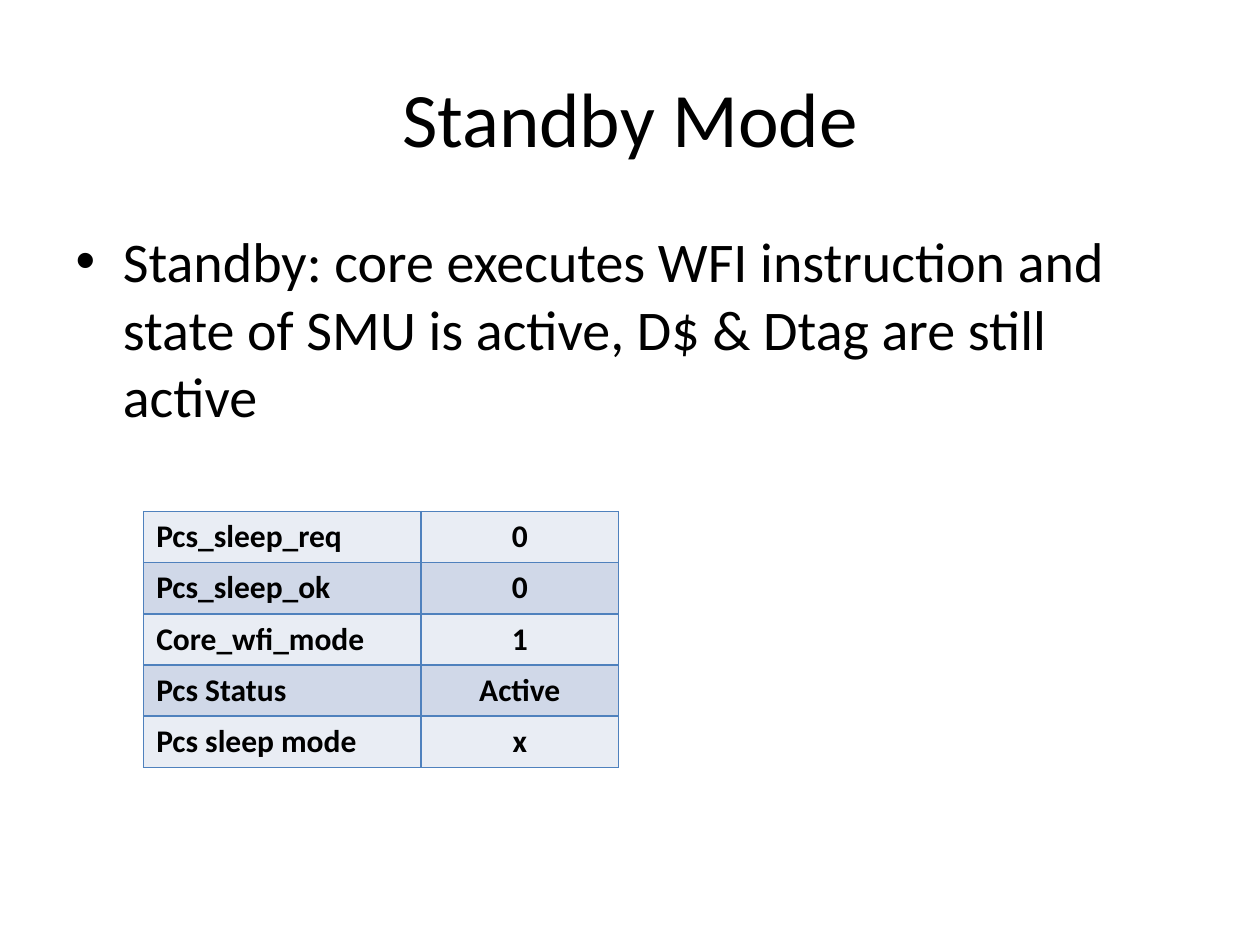
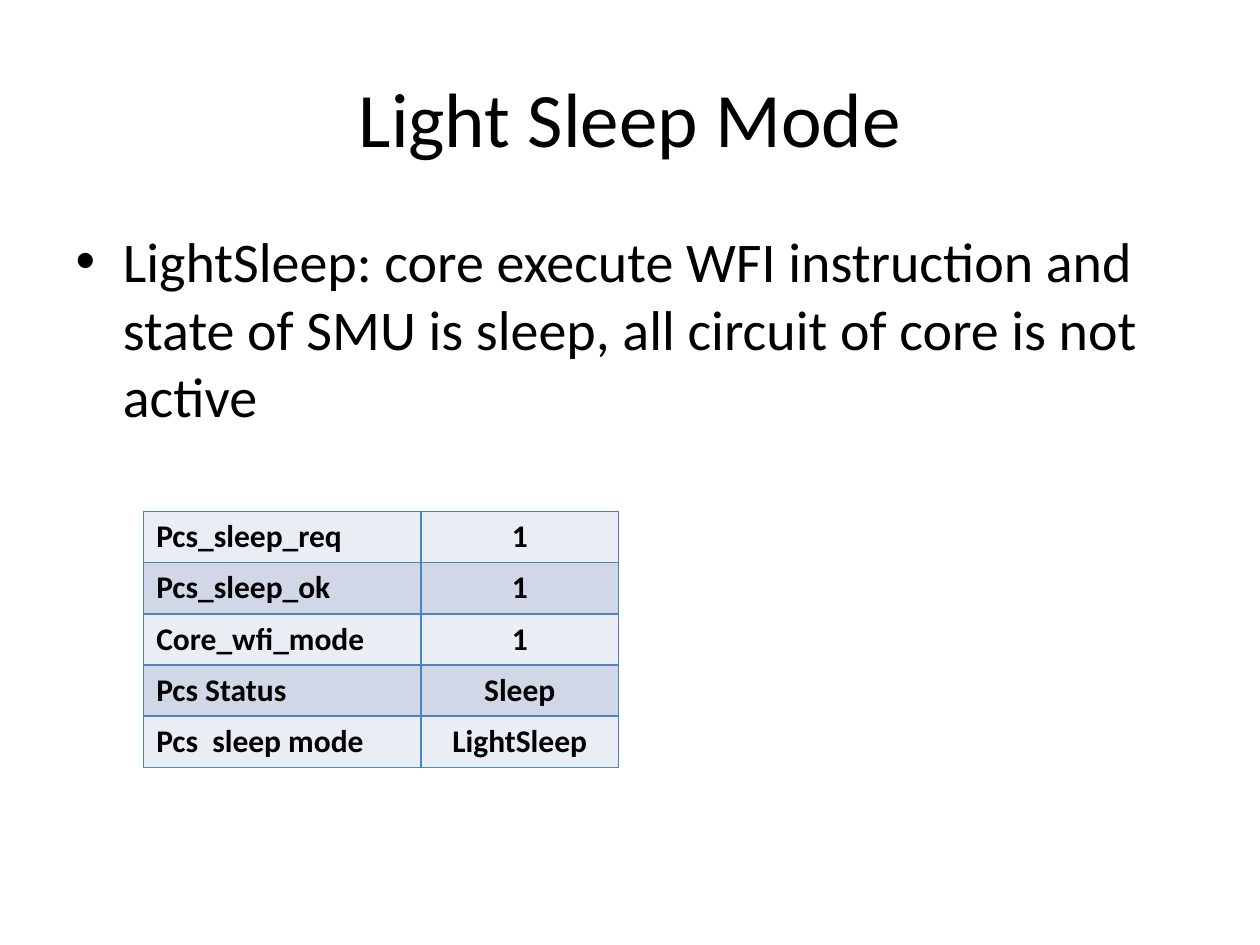
"""Builds two slides on processor sleep modes, each with a signal table."""
from lxml import etree
from pptx import Presentation
from pptx import util as u
from pptx.dml import color
from pptx.enum import text
from pptx.oxml import ns

COLORS = {
    "text": "000000",
    "border": "4F81BD",
    "band_light": "E9EDF4",
    "band_dark": "D0D8E8",
}

MODES = [
    (
        "Standby Mode",
        "Standby: core executes WFI instruction and state of SMU is active, "
        "D$ & Dtag are still active",
        [
            ("Pcs_sleep_req", "0"),
            ("Pcs_sleep_ok", "0"),
            ("Core_wfi_mode", "1"),
            ("Pcs Status", "Active"),
            ("Pcs sleep mode", "x"),
        ],
    ),
    (
        "Light Sleep Mode",
        "LightSleep: core execute WFI instruction and state of SMU is sleep, "
        "all circuit of core is not active",
        [
            ("Pcs_sleep_req", "1"),
            ("Pcs_sleep_ok", "1"),
            ("Core_wfi_mode", "1"),
            ("Pcs Status", "Sleep"),
            ("Pcs  sleep mode", "LightSleep"),
        ],
    ),
]


class Deck:
    font_name = "Calibri"
    column_widths = (2.2, 1.57)

    def __init__(self):
        self.presentation = Presentation()
        self.presentation.slide_width = u.Inches(10)
        self.presentation.slide_height = u.Inches(7.5)
        self.slide = None

    def add_slide(self):
        layout = self.presentation.slide_layouts.get_by_name("Title and Content")
        self.slide = self.presentation.slides.add_slide(layout)

    def style(self, paragraph, size, alignment, bold=False):
        paragraph.alignment = alignment
        for run in paragraph.runs:
            run.font.name = self.font_name
            run.font.size = u.Pt(size)
            run.font.bold = bold
            run.font.color.rgb = color.RGBColor.from_string(COLORS["text"])

    def place(self, shape, left, top, width, height):
        shape.left, shape.top = u.Inches(left), u.Inches(top)
        shape.width, shape.height = u.Inches(width), u.Inches(height)

    def title(self, wording):
        shape = self.slide.shapes.title
        self.place(shape, 0.5, 0.3, 9, 1.25)
        shape.text_frame.text = wording
        shape.text_frame.vertical_anchor = text.MSO_ANCHOR.MIDDLE
        self.style(shape.text_frame.paragraphs[0], 44, text.PP_ALIGN.CENTER)

    def bullet(self, wording):
        shape = self.slide.placeholders[1]
        self.place(shape, 0.5, 1.75, 9, 4.95)
        shape.text_frame.text = wording
        paragraph = shape.text_frame.paragraphs[0]
        paragraph.space_before = u.Pt(0)
        self.style(paragraph, 32, text.PP_ALIGN.LEFT)

    def borders(self, cell):
        properties = cell._tc.get_or_add_tcPr()
        for index, side in enumerate(("lnL", "lnR", "lnT", "lnB")):
            line = etree.Element(ns.qn(f"a:{side}"), w=str(u.Pt(1)))
            fill = etree.SubElement(line, ns.qn("a:solidFill"))
            etree.SubElement(fill, ns.qn("a:srgbClr"), val=COLORS["border"])
            properties.insert(index, line)

    def table(self, rows):
        frame = self.slide.shapes.add_table(
            len(rows), len(self.column_widths),
            u.Inches(1.14), u.Inches(4.06),
            u.Inches(sum(self.column_widths)), u.Inches(2.03),
        )
        table = frame.table
        table.first_row = False
        for column, width in zip(table.columns, self.column_widths):
            column.width = u.Inches(width)
        alignments = (text.PP_ALIGN.LEFT, text.PP_ALIGN.CENTER)
        for row_index, row in enumerate(rows):
            band = "band_dark" if row_index % 2 else "band_light"
            for column_index, wording in enumerate(row):
                cell = table.cell(row_index, column_index)
                cell.text_frame.text = wording
                self.style(cell.text_frame.paragraphs[0], 18,
                           alignments[column_index], bold=True)
                cell.fill.solid()
                cell.fill.fore_color.rgb = color.RGBColor.from_string(COLORS[band])
                self.borders(cell)


def main():
    deck = Deck()
    for title, description, signals in MODES:
        deck.add_slide()
        deck.title(title)
        deck.bullet(description)
        deck.table(signals)
    deck.presentation.save("out.pptx")


if __name__ == "__main__":
    main()
